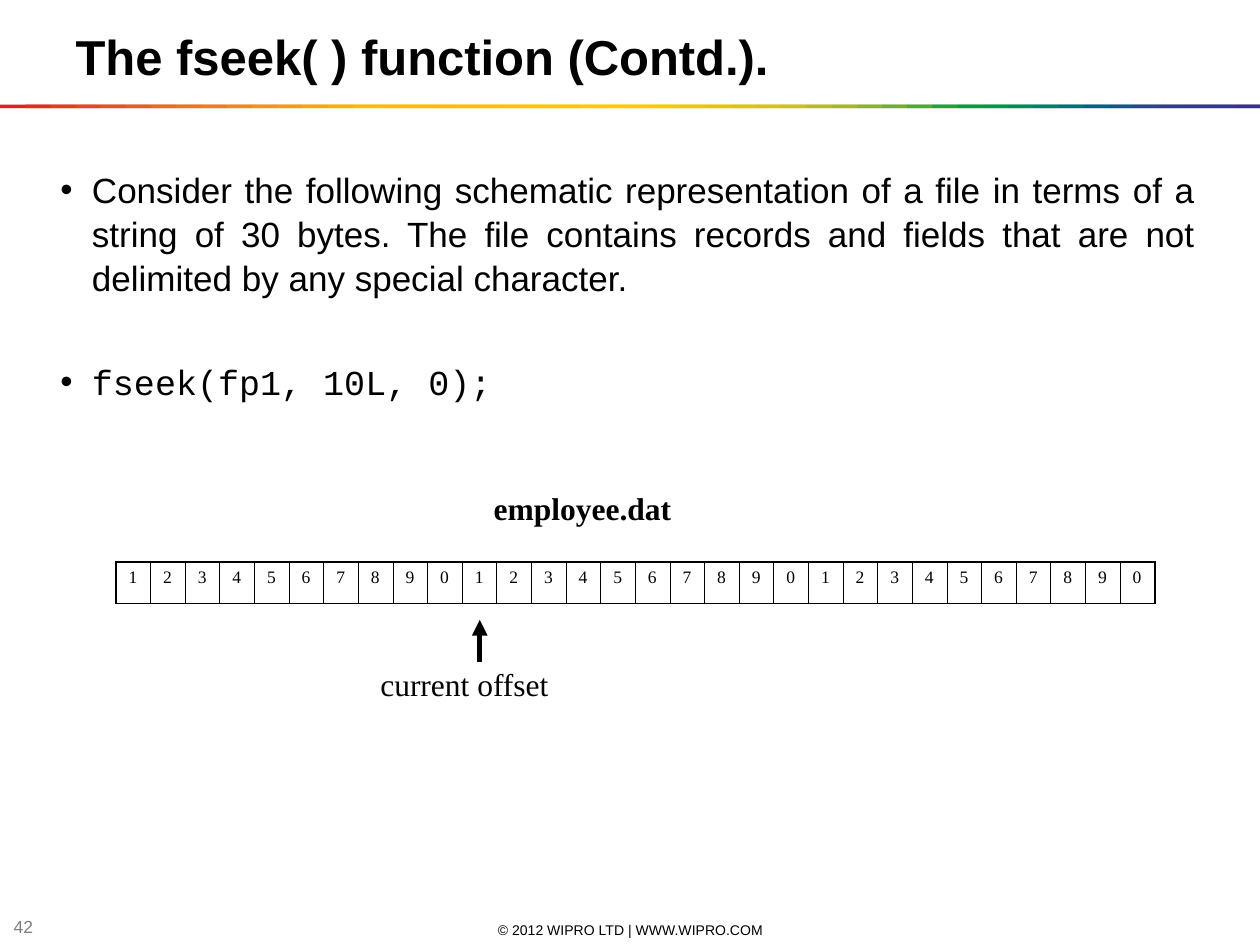
import dataclasses

import pptx
import pptx.dml.color
import pptx.enum.shapes
import pptx.enum.text
import pptx.oxml
import pptx.oxml.ns
import pptx.util

GRID_COLUMNS, GRID_ROWS = 100, 75
UNIT = pptx.util.Inches(0.1)
DRAWING_NS = pptx.oxml.ns.nsdecls("a")


@dataclasses.dataclass(frozen=True)
class Theme:
    """Colours, fonts, type sizes and line widths of the slide."""

    ink: str = "000000"
    muted: str = "7F7F7F"
    sans: str = "Arial"
    serif: str = "Times New Roman"
    mono: str = "Courier New"
    title: float = 28
    body: float = 20
    label: float = 18
    small: float = 10
    footer: float = 8
    outer_border: float = 1.08
    inner_border: float = 0.45
    arrow: float = 3
    spectrum: tuple = tuple(
        """
        E31E24 E42C24 E53A24 E74623 E85122 EA5D21 EC691F EE741D EF7E1A F18817
        F39314 F49C0F F6A607 F8B002 FBBA00 FBBB00 FBBD00 FCBF00 FCC000 FCC200
        FDC400 FDC600 FDC700 FEC900 FECB00 FBCB00 F3CA00 ECC800 E4C602 DCC50A
        D5C30E CCC117 B8BC21 A3B829 8CB230 71AD36 51A73B 1DA240 009D43 009846
        008C57 008068 007275 00637F 185384 2E4285 313E85 333B85 353885 393185
        """.split()
    )


THEME = Theme()


@dataclasses.dataclass(frozen=True)
class Box:
    """An area in columns and rows of the slide grid."""

    left: float
    top: float
    width: float
    height: float

    def inner(self, left, top, width, height):
        """Return an area placed relative to this one."""
        return Box(self.left + left, self.top + top, width, height)

    def lengths(self):
        """Return left, top, width and height as slide lengths."""
        return [round(value * UNIT) for value in dataclasses.astuple(self)]


def rgb(colour):
    """Turn a hex string into a colour."""
    return pptx.dml.color.RGBColor.from_string(colour)


def format_runs(paragraph, font, size, colour=THEME.ink, bold=False):
    """Give every run of a paragraph the same type."""
    for run in paragraph.runs:
        run.font.name = font
        run.font.size = pptx.util.Pt(size)
        run.font.bold = bold
        run.font.color.rgb = rgb(colour)


def place(placeholder, box):
    """Move a placeholder into its box."""
    placeholder.left, placeholder.top, placeholder.width, placeholder.height = box.lengths()
    placeholder.text_frame.auto_size = pptx.enum.text.MSO_AUTO_SIZE.NONE


def add_label(slide, box, text, font, size, centred=False, middle=False, **style):
    """Add a single line of text."""
    frame = slide.shapes.add_textbox(*box.lengths()).text_frame
    frame.word_wrap = True
    if middle:
        frame.vertical_anchor = pptx.enum.text.MSO_ANCHOR.MIDDLE
    frame.text = text
    if centred:
        frame.paragraphs[0].alignment = pptx.enum.text.PP_ALIGN.CENTER
    format_runs(frame.paragraphs[0], font, size, **style)


def fill_title(slide, box, text):
    """Set the slide title."""
    title = slide.shapes.title
    place(title, box)
    title.text_frame.text = text
    title.text_frame.vertical_anchor = pptx.enum.text.MSO_ANCHOR.MIDDLE
    heading = title.text_frame.paragraphs[0]
    heading.alignment = pptx.enum.text.PP_ALIGN.LEFT
    format_runs(heading, THEME.sans, THEME.title, bold=True)


def fill_points(slide, box, points):
    """Write the bulleted points, each a text, a font and a space before."""
    body = slide.placeholders[1]
    place(body, box)
    frame = body.text_frame
    frame.text = "\n".join(text for text, _, _ in points)
    for paragraph, (_, font, gap) in zip(frame.paragraphs, points):
        properties = paragraph._p.get_or_add_pPr()
        properties.set("marL", str(round(2.5 * UNIT)))
        properties.set("indent", str(round(-2.5 * UNIT)))
        for bullet in (
            f'<a:buClr {DRAWING_NS}><a:srgbClr val="{THEME.ink}"/></a:buClr>',
            f'<a:buFont {DRAWING_NS} typeface="{THEME.sans}"/>',
            f'<a:buChar {DRAWING_NS} char="•"/>',
        ):
            properties.append(pptx.oxml.parse_xml(bullet))
        paragraph.alignment = pptx.enum.text.PP_ALIGN.JUSTIFY
        paragraph.line_spacing = 1.05
        paragraph.space_before = pptx.util.Pt(gap)
        format_runs(paragraph, font, THEME.body)


def add_spectrum(slide, box):
    """Draw the rule under the title as overlapping colour bands."""
    rule = slide.shapes.add_group_shape()
    step = box.width / len(THEME.spectrum)
    for index, colour in enumerate(THEME.spectrum):
        left = index * step
        area = box.inner(left, 0, min(2 * step, box.width - left), box.height)
        band = rule.shapes.add_shape(
            pptx.enum.shapes.MSO_SHAPE.RECTANGLE, *area.lengths()
        )
        band.shadow.inherit = False
        band.fill.solid()
        band.fill.fore_color.rgb = rgb(colour)
        band.line.fill.background()


def set_border(cell, side, width):
    """Draw one side of a table cell."""
    cell._tc.get_or_add_tcPr().append(pptx.oxml.parse_xml(
        f'<a:{side} {DRAWING_NS} w="{pptx.util.Pt(width)}"><a:solidFill>'
        f'<a:srgbClr val="{THEME.ink}"/></a:solidFill></a:{side}>'
    ))


def add_bytes(slide, box, digits):
    """Add the file as a row of byte cells."""
    table = slide.shapes.add_table(1, len(digits), *box.lengths()).table
    table.first_row = table.horz_banding = False
    last = len(digits) - 1
    for index, digit in enumerate(digits):
        table.columns[index].width = round(box.width / len(digits) * UNIT)
        cell = table.cell(0, index)
        cell.text = digit
        format_runs(cell.text_frame.paragraphs[0], THEME.serif, THEME.small)
        set_border(cell, "lnL", THEME.inner_border if index else THEME.outer_border)
        set_border(cell, "lnR", THEME.inner_border if index < last else THEME.outer_border)
        set_border(cell, "lnT", THEME.outer_border)
        set_border(cell, "lnB", THEME.outer_border)
        cell.fill.background()


def add_offset_arrow(slide, box):
    """Draw an upward arrow along the left edge of the box."""
    left, top, _, height = box.lengths()
    arrow = slide.shapes.add_connector(
        pptx.enum.shapes.MSO_CONNECTOR.STRAIGHT, left, top + height, left, top
    )
    arrow.line.color.rgb = rgb(THEME.ink)
    arrow.line.width = pptx.util.Pt(THEME.arrow)
    arrow.line._get_or_add_ln().append(
        pptx.oxml.parse_xml(f'<a:tailEnd {DRAWING_NS} type="triangle"/>')
    )
    arrow._element.spPr.append(pptx.oxml.parse_xml(f"<a:effectLst {DRAWING_NS}/>"))


def add_file_map(slide, box, file_name, digits, offset):
    """Show the file's bytes with its name and the current offset."""
    offset_left = (offset + 0.5) * box.width / len(digits)
    add_offset_arrow(slide, box.inner(offset_left, 10.9, 0, 3.3))
    add_label(slide, box.inner(20, 14, 17.5, 4), "current offset", THEME.serif, THEME.label)
    add_label(slide, box.inner(29, 0, 17.5, 4), file_name, THEME.serif, THEME.label, bold=True)
    add_bytes(slide, box.inner(0, 6.3, box.width, 3.3), digits)


def add_footer(slide, box, page, notice):
    """Add the page number and the copyright line."""
    add_label(slide, box.inner(0.1, 0, 3.9, 1.6), page, THEME.sans, THEME.small,
              middle=True, colour=THEME.muted)
    add_label(slide, box.inner(34.2, 0.3, 31.7, 1.6), notice, THEME.sans, THEME.footer,
              centred=True, middle=True)


def main():
    """Build and save the slide."""
    deck = pptx.Presentation()
    deck.slide_width, deck.slide_height = GRID_COLUMNS * UNIT, GRID_ROWS * UNIT
    slide = deck.slides.add_slide(deck.slide_layouts[1])
    add_footer(slide, Box(0, 72.7, GRID_COLUMNS, 2), "42", "© 2012 WIPRO LTD | WWW.WIPRO.COM")
    add_spectrum(slide, Box(0, 8.3, GRID_COLUMNS, 0.3))
    fill_title(slide, Box(5, 1.6, 90, 5.7), "The fseek( ) function (Contd.).")
    fill_points(slide, Box(3.8, 12.7, 92.1, 21.7), [
        ("Consider the following schematic representation of a file in terms of a "
         "string of 30 bytes. The file contains records and fields that are not "
         "delimited by any special character.", THEME.sans, 0),
        ("fseek(fp1, 10L, 0);", THEME.mono, 34),
    ])
    add_file_map(slide, Box(9.2, 38.3, 82.5, 18), "employee.dat", "1234567890" * 3, 10)
    deck.save("out.pptx")


if __name__ == "__main__":
    main()
